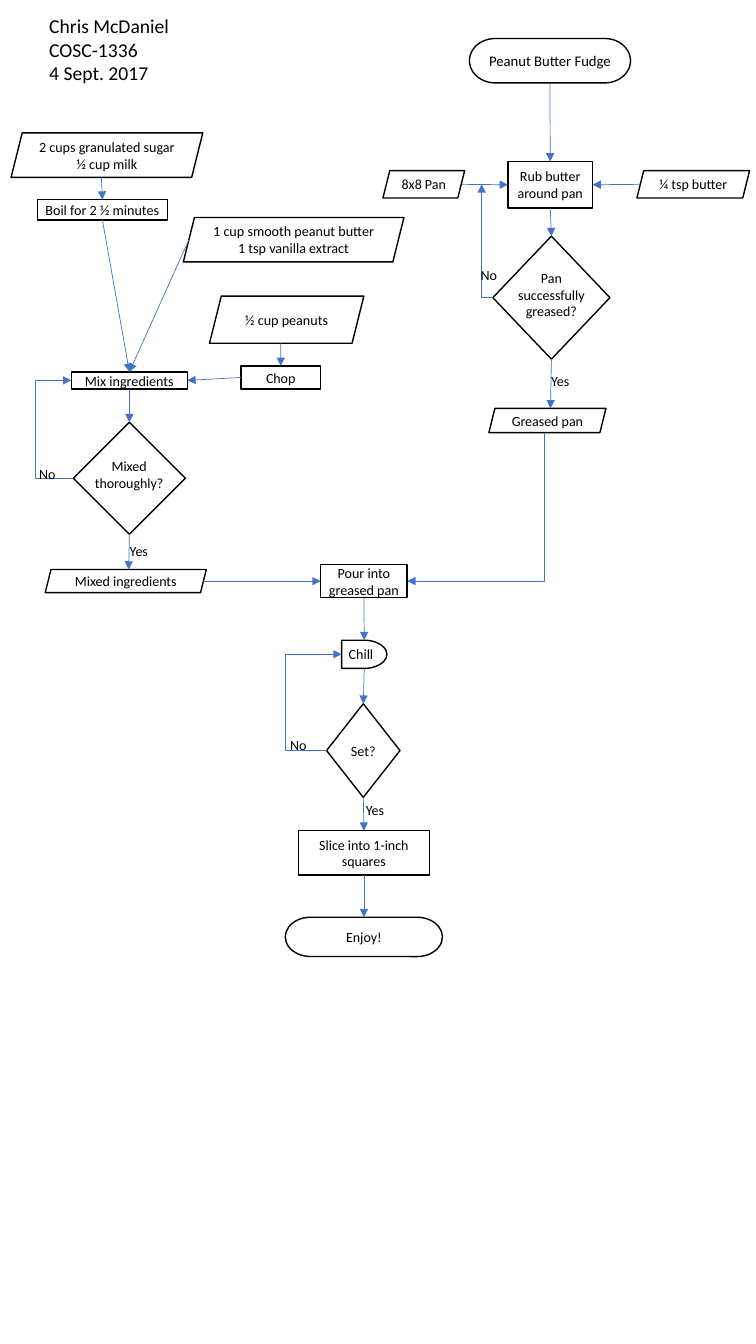
from lxml.etree import SubElement
from pptx import Presentation
from pptx.dml.color import RGBColor
from pptx.enum.shapes import MSO_CONNECTOR, MSO_SHAPE
from pptx.enum.text import MSO_ANCHOR, PP_ALIGN
from pptx.oxml.ns import qn
from pptx.util import Cm, Pt

BLACK, WHITE, BLUE = "000000", "FFFFFF", "4472C4"
DATA = MSO_SHAPE.PARALLELOGRAM
STEP = MSO_SHAPE.RECTANGLE
ENDPOINT = MSO_SHAPE.FLOWCHART_TERMINATOR
DECISION = MSO_SHAPE.FLOWCHART_DECISION
DIAMOND = MSO_SHAPE.DIAMOND
DELAY = MSO_SHAPE.FLOWCHART_DELAY


def color(value):
    return RGBColor.from_string(value)


def write(frame, text, size=10, align=PP_ALIGN.LEFT, font="Calibri", ink=BLACK):
    frame.word_wrap = True
    for index, line in enumerate(text.split("\n")):
        para = frame.add_paragraph() if index else frame.paragraphs[0]
        para.alignment = align
        span = para.add_run()
        span.text = line
        span.font.size = Pt(size)
        span.font.name = font
        span.font.color.rgb = color(ink)


def place(box, left, top, width, height):
    """Turn centimetres inside a region into slide lengths."""
    return Cm(box[0] + left), Cm(box[1] + top), Cm(width), Cm(height)


def node(page, kind, area, text="", size=10):
    shape = page.shapes.add_shape(kind, *area)
    shape.shadow.inherit = False
    shape.fill.solid()
    shape.fill.fore_color.rgb = color(WHITE)
    shape.line.color.rgb = color(BLACK)
    shape.line.width = Pt(1)
    frame = shape.text_frame
    frame.margin_left = frame.margin_right = Cm(0.15)
    frame.margin_top = frame.margin_bottom = Cm(0.08)
    frame.vertical_anchor = MSO_ANCHOR.MIDDLE
    if text:
        write(frame, text, size=size, align=PP_ALIGN.CENTER)
    return shape


def label(page, area, text, **style):
    write(page.shapes.add_textbox(*area).text_frame, text, **style)


def site(shape, side):
    """Middle of one side, following the slant of a parallelogram."""
    slant = shape.height // 8 if shape.auto_shape_type == DATA else 0
    center = shape.left + shape.width // 2
    middle = shape.top + shape.height // 2
    return {
        "top": (center + slant, shape.top),
        "bottom": (center - slant, shape.top + shape.height),
        "left": (shape.left + slant, middle),
        "right": (shape.left + shape.width - slant, middle),
    }[side]


def arrow(page, start, end, kind=MSO_CONNECTOR.STRAIGHT):
    link = page.shapes.add_connector(kind, *start, *end)
    link.line.color.rgb = color(BLUE)
    link.line.width = Pt(0.5)
    properties = link.element.spPr
    SubElement(properties.find(qn("a:ln")), qn("a:tailEnd"), type="triangle")
    SubElement(properties, qn("a:effectLst"))
    return link


def chain(page, *shapes):
    """Join shapes from top to bottom."""
    for upper, lower in zip(shapes, shapes[1:]):
        arrow(page, site(upper, "bottom"), site(lower, "top"))


def loop(page, start, end, turn):
    """Go sideways to the turn, then up and back in."""
    link = arrow(page, start, end, MSO_CONNECTOR.ELBOW)
    share = (turn - start[0]) / (end[0] - start[0])
    values = link.element.spPr.find(qn("a:prstGeom")).find(qn("a:avLst"))
    SubElement(values, qn("a:gd"), name="adj1", fmla=f"val {round(share * 100000)}")


def corner(page, start, end, down_first=False):
    """One right-angle bend, sideways first unless told otherwise."""
    if down_first:
        across, down = start[0] - end[0], end[1] - start[1]
        center, middle = (start[0] + end[0]) // 2, (start[1] + end[1]) // 2
        start = center - down // 2, middle - across // 2
        end = start[0] + down, start[1] + across
    link = arrow(page, start, end, MSO_CONNECTOR.ELBOW)
    link.element.spPr.find(qn("a:prstGeom")).set("prst", "bentConnector2")
    if down_first:
        link.element.spPr.find(qn("a:xfrm")).set("rot", str(90 * 60000))


def heading(page, box):
    label(page, place(box, 0, 0, 7.09, 2.06),
          "Chris McDaniel\nCOSC-1336\n4 Sept. 2017", size=14)


def mixing(page, box):
    def part(kind, text, *area, size=10.1):
        return node(page, kind, place(box, *area), text, size)

    # Ingredients and steps
    sugar = part(DATA, "2 cups granulated sugar\n½ cup milk", 0, 0, 4.83, 1.12)
    vanilla = part(DATA, "1 cup smooth peanut butter\n1 tsp vanilla extract",
                   4.34, 2.13, 5.56, 1.12)
    boil = part(STEP, "Boil for 2 ½ minutes", 0.66, 1.68, 3.28, 0.51)
    mix = part(STEP, "Mix ingredients", 1.52, 6.02, 2.92, 0.43)
    peanuts = part(DATA, "½ cup peanuts", 5, 4.11, 3.89, 1.19)
    chop = part(STEP, "Chop", 5.79, 5.87, 2.01, 0.58, size=10)
    check = part(DIAMOND, "", 1.57, 7.29, 2.82, 2.82)
    mixed = part(DATA, "Mixed ingredients", 0.86, 11, 4.06, 0.58, size=10)

    # Flow
    chain(page, sugar, boil, mix, check, mixed)
    chain(page, peanuts, chop)
    arrow(page, site(vanilla, "left"), site(mix, "top"))
    arrow(page, site(chop, "left"), site(mix, "right"))
    loop(page, site(check, "left"), site(mix, "left"), Cm(box[0] + 0.61))

    # Labels
    label(page, place(box, 1.73, 8.05, 2.49, 1.12), "Mixed thoroughly?",
          align=PP_ALIGN.CENTER)
    label(page, place(box, 2.74, 10.19, 1.19, 0.69), "Yes")
    label(page, place(box, 0.46, 8.26, 1.04, 0.69), "No")
    return mixed


def greasing(page, box):
    def part(kind, text, *area, size=10):
        return node(page, kind, place(box, *area), text, size)

    # Title, inputs and steps
    title = part(ENDPOINT, "Peanut Butter Fudge", 2.18, 0, 4.06, 1.12, size=10.5)
    pan = part(DATA, "8x8 Pan", 0, 3.33, 2.06, 0.69)
    rub = part(STEP, "Rub butter around pan", 3.15, 3.1, 2.13, 1.17)
    butter = part(DATA, "¼ tsp butter", 6.4, 3.33, 2.84, 0.69)
    check = part(DECISION, "", 2.77, 4.98, 2.95, 3.1)
    greased = part(DATA, "Greased pan", 2.67, 9.32, 2.95, 0.61)

    # Flow
    chain(page, title, rub, check, greased)
    arrow(page, site(pan, "right"), site(rub, "left"))
    arrow(page, site(butter, "left"), site(rub, "right"))
    corner(page, site(check, "left"), (Cm(box[0] + 2.49), site(pan, "right")[1]))

    # Labels
    label(page, place(box, 2.9, 5.69, 2.69, 1.55), "Pan successfully greased?",
          align=PP_ALIGN.CENTER)
    label(page, place(box, 2.21, 5.61, 1.55, 0.69), "No")
    label(page, place(box, 3.99, 8.28, 1.04, 0.69), "Yes")
    return greased


def finishing(page, box):
    def part(kind, text, *area, size=10):
        return node(page, kind, place(box, *area), text, size)

    # Steps
    pour = part(STEP, "Pour into greased pan", 0.89, 0, 2.18, 0.84, size=10.1)
    chill = part(DELAY, "Chill", 1.42, 1.91, 1.14, 0.71, size=10.1)
    check = part(DIAMOND, "Set?", 1.04, 3.51, 1.85, 2.36, size=10.1)
    cut = part(STEP, "Slice into 1-inch squares", 0.33, 6.71, 3.3, 1.12)
    enjoy = part(ENDPOINT, "Enjoy!", 0, 8.89, 3.96, 0.99)

    # Flow
    chain(page, pour, chill, check, cut, enjoy)
    loop(page, site(check, "left"), site(chill, "left"), Cm(box[0]))

    # Labels
    label(page, place(box, -0.13, 4.22, 0.97, 0.69), "No")
    label(page, place(box, 1.78, 5.84, 1.09, 0.69), "Yes")
    return pour


deck = Presentation()
deck.slide_width, deck.slide_height = Cm(19.05), Cm(33.86)
page = deck.slides.add_slide(deck.slide_layouts[6])

heading(page, (0.99, 0.23))
mixed = mixing(page, (0.28, 3.35))
greased = greasing(page, (9.65, 0.97))
pour = finishing(page, (7.19, 14.22))

# Links between the regions
arrow(page, site(mixed, "right"), site(pour, "left"))
corner(page, site(greased, "bottom"), site(pour, "right"), down_first=True)

deck.save("out.pptx")
